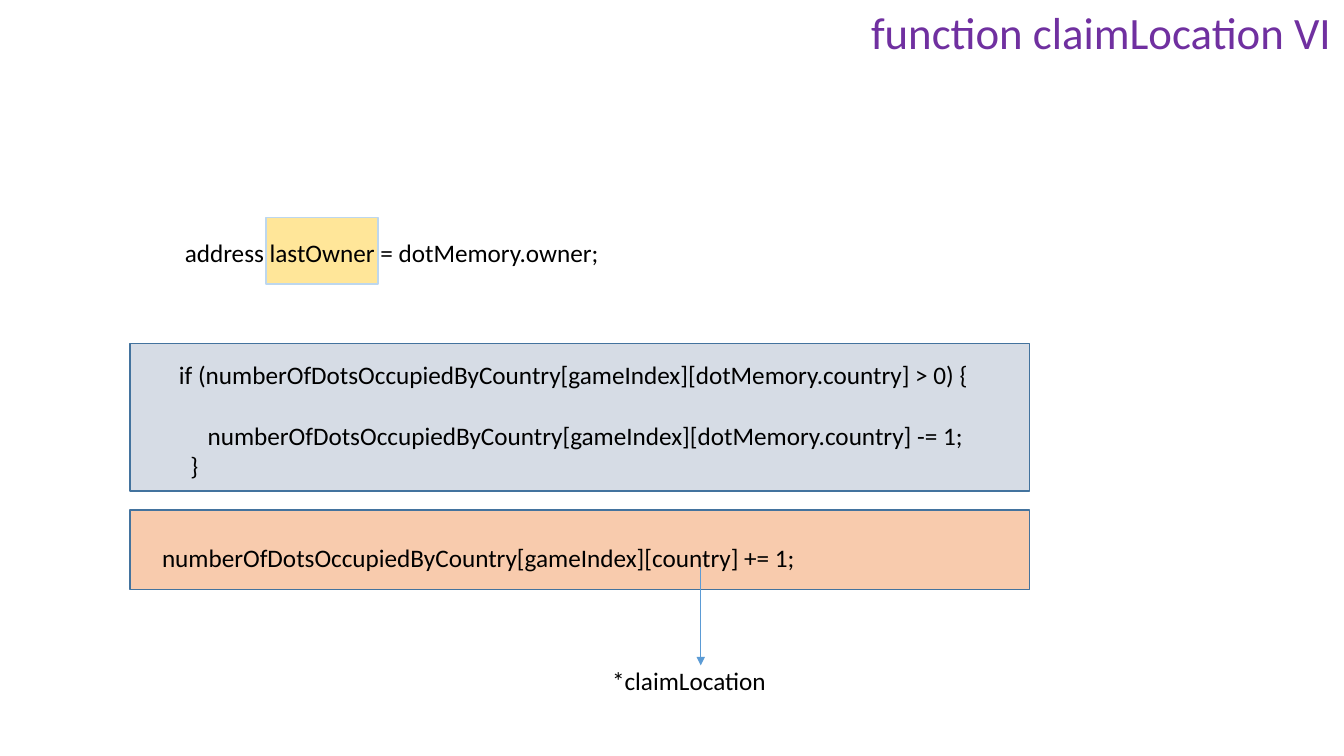
from lxml.etree import SubElement
from pptx import Presentation
from pptx.dml.color import RGBColor as Color
from pptx.enum.shapes import MSO_CONNECTOR as Connector, MSO_SHAPE as Shape
from pptx.oxml.ns import qn
from pptx.util import Inches, Pt

THEME = {
    "font": "Calibri", "title_size": 32, "code_size": 18, "line_step": 22,
    "title": "7030A0", "code": "000000", "arrow": "5B9BD5",
    "removal": "D6DCE5", "addition": "F8CBAD", "owner": "FFE699",
    "block_edge": "43739E", "owner_edge": "BDD7EE",
}

deck = Presentation()
deck.slide_width, deck.slide_height = Inches(13.33), Inches(7.5)
slide = deck.slides.add_slide(deck.slide_layouts[6])


def share(*percents):
    """Turn alternating x and y percentages of the slide into lengths."""
    sides = (deck.slide_width, deck.slide_height)
    return [round(sides[i % 2] * percent / 100) for i, percent in enumerate(percents)]


def write(paragraph, text, size, color):
    """Put one formatted run of text into a paragraph."""
    run = paragraph.add_run()
    run.text = text
    run.font.color.rgb = Color.from_string(THEME[color])
    for attribute, value in {"name": THEME["font"], "size": Pt(THEME[size])}.items():
        setattr(run.font, attribute, value)


# Highlights behind the code: left, top, width, height in percent
highlights = [
    ((9.68, 67.47, 66.92, 10.53), "addition", "block_edge"),
    ((9.68, 45.47, 66.92, 19.47), "removal", "block_edge"),
    ((19.8, 28.8, 8.33, 8.8), "owner", "owner_edge"),
]
for area, fill, edge in highlights:
    highlight = slide.shapes.add_shape(Shape.RECTANGLE, *share(*area))
    highlight.shadow.inherit = False
    highlight.fill.solid()
    highlight.fill.fore_color.rgb = Color.from_string(THEME[fill])
    highlight.line.color.rgb = Color.from_string(THEME[edge])
    highlight.line.width = Pt(1)

heading = slide.shapes.add_textbox(*share(64.07, 0, 35.93, 8.53)).text_frame
heading.word_wrap = False
write(heading.paragraphs[0], "function claimLocation VI", "title_size", "title")

# Code lines: indent in percent of the width, skipped lines above, text
code_lines = [
    (6.78, 0, "address lastOwner = dotMemory.owner;"),
    (6.35, 3, "if (numberOfDotsOccupiedByCountry[gameIndex][dotMemory.country] > 0) {"),
    (8.48, 1, "numberOfDotsOccupiedByCountry[gameIndex][dotMemory.country] -= 1;"),
    (7.2, 0, "}"),
    (5.09, 2, "numberOfDotsOccupiedByCountry[gameIndex][country] += 1;"),
    (38.57, 3, "*claimLocation"),
]
code = slide.shapes.add_textbox(*share(6.23, 30.67, 93.77, 69.33)).text_frame
code.word_wrap = True
for number, (indent, skipped, text) in enumerate(code_lines):
    line = code.add_paragraph() if number else code.paragraphs[0]
    line.space_before = Pt(skipped * THEME["line_step"])
    line._p.get_or_add_pPr().set("marL", str(share(indent)[0]))
    write(line, text, "code_size", "code")

country_arrow = slide.shapes.add_connector(Connector.STRAIGHT, *share(52.14, 75.07, 52.14, 88))
country_arrow.line.color.rgb = Color.from_string(THEME["arrow"])
country_arrow.line.width = Pt(0.5)
SubElement(country_arrow.line._get_or_add_ln(), qn("a:tailEnd"), type="triangle")
SubElement(country_arrow._element.spPr, qn("a:effectLst"))

deck.save("out.pptx")
